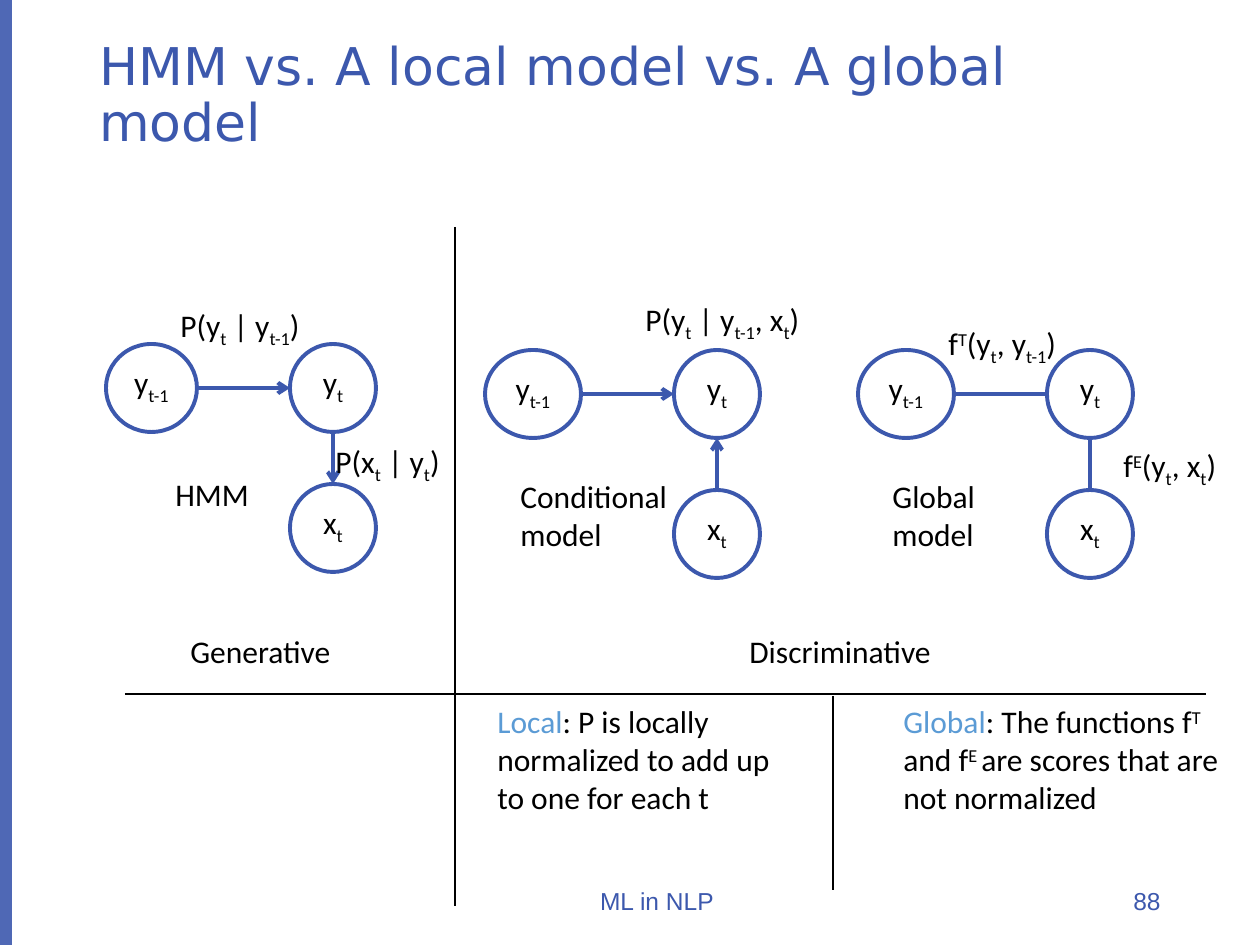
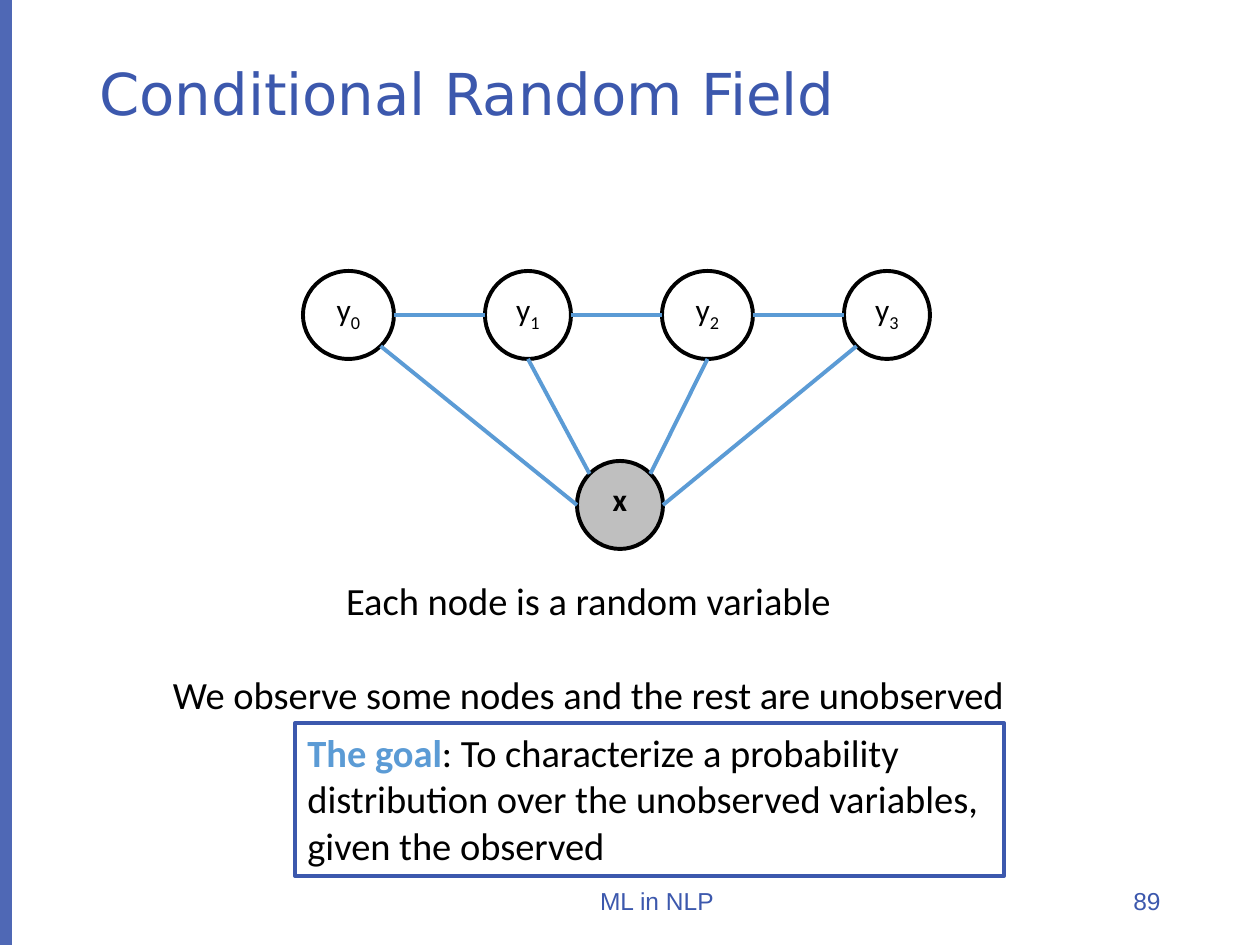
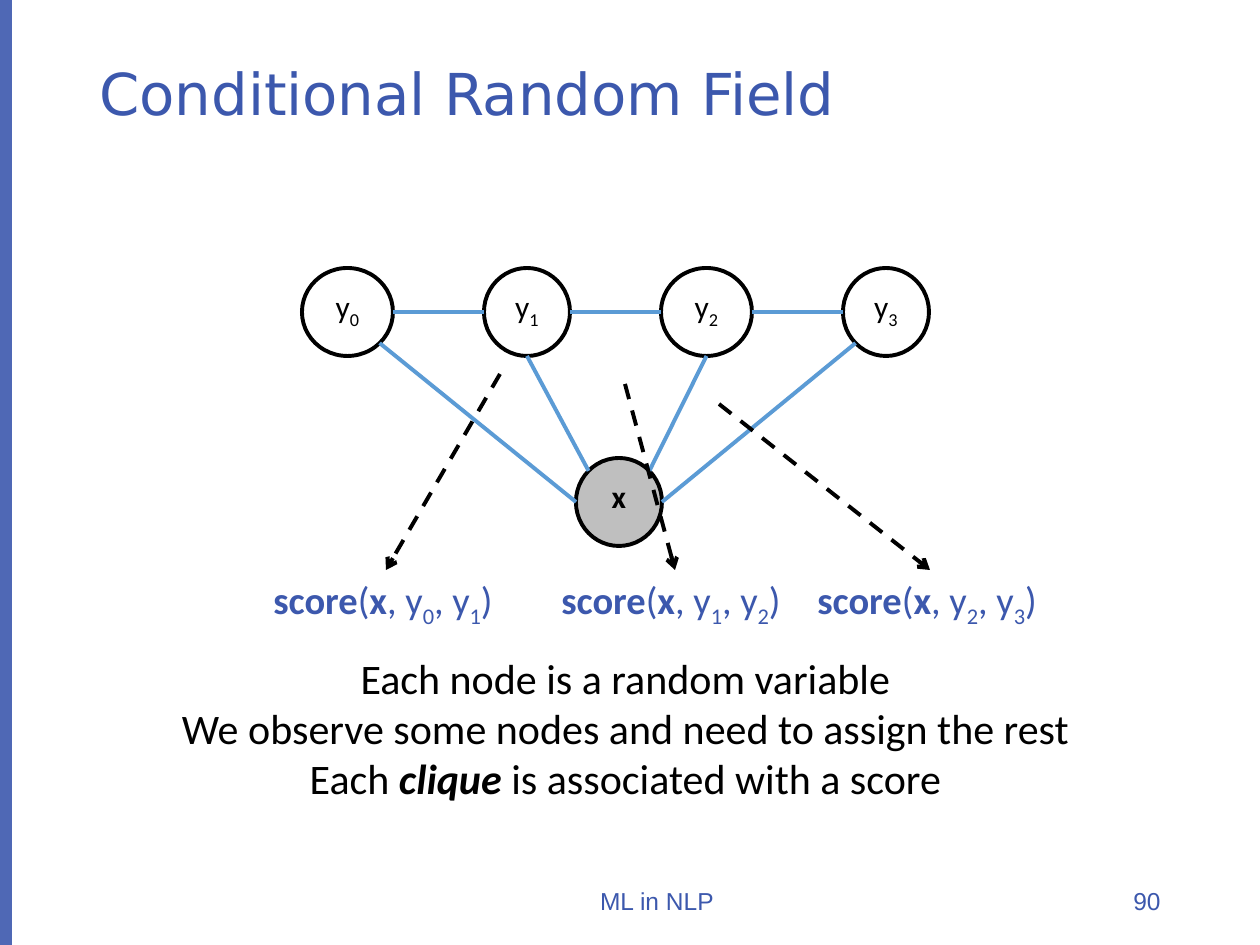
"""Build three slides that compare sequence models and introduce conditional random fields."""
from math import cos, radians, sin

from lxml.etree import SubElement
from pptx import Presentation
from pptx.dml.color import RGBColor
from pptx.enum.dml import MSO_LINE
from pptx.enum.shapes import MSO_CONNECTOR, MSO_SHAPE
from pptx.enum.text import MSO_ANCHOR, PP_ALIGN
from pptx.oxml.ns import qn
from pptx.util import Pt

EMU_PER_PX = 914400 / 126
PAGE_WIDTH, PAGE_HEIGHT = 1260, 945
BLUE, SKY, BLACK, WHITE, GREY = "3C58AD", "5B9BD5", "000000", "FFFFFF", "BFBFBF"
LEFT, CENTER, RIGHT = PP_ALIGN.LEFT, PP_ALIGN.CENTER, PP_ALIGN.RIGHT
EAST, SOUTH_EAST, SOUTH, SOUTH_WEST, WEST, NORTH_WEST, NORTH, NORTH_EAST = range(0, 360, 45)

FOOTER = "ML in NLP"
COMPARISON_TITLE = "HMM vs. A local model vs. A global model"
FIELD_TITLE = "Conditional Random Field"

# Text marks toggle a style: _subscript_ ^superscript^ *bold* ~italic~ #highlight#
MARKS = "_^*~#"
BASELINES = {"_": "-25000", "^": "30000"}

NODE_HEIGHT, NARROW, WIDE = 88, 86, 91
STATE_GAP, OBSERVED_DROP = 93, 140
MODELS = [
    {"left": 106, "top": 344, "width": 91, "arrow": True, "emits": True},
    {"left": 485, "top": 350, "width": 96, "arrow": True, "emits": False},
    {"left": 858, "top": 350, "width": 96, "arrow": False, "emits": False},
]
MODEL_LABELS = [
    (163, 469, 100, 50, ["HMM"]),
    (508, 471, 174, 89, ["Conditional", "model"]),
    (880, 471, 108, 89, ["Global", "model"]),
    (168, 300, 150, 50, ["P(y_t_ | y_t-1_)"]),
    (323, 436, 132, 50, ["P(x_t_ | y_t_)"]),
    (633, 294, 186, 50, ["P(y_t_ | y_t-1_, x_t_)"]),
    (936, 318, 145, 50, ["f^T^(y_t_, y_t-1_)"]),
    (1111, 440, 122, 50, ["f^E^(y_t_, x_t_)"]),
    (178, 626, 168, 50, ["Generative"]),
    (737, 626, 209, 50, ["Discriminative"]),
]
MODEL_NOTES = [
    (485, 696, 301, 127, ["#Local#: P is locally normalized to add up to one for each t"]),
    (891, 696, 340, 127, ["#Global#: The functions f^T^ and f^E ^are scores that are not normalized"]),
]
DIVIDERS = [((455, 227), (455, 906)), ((833, 696), (833, 890)), ((125, 694), (1206, 694))]

FIELD_WIDTHS = [WIDE, NARROW, WIDE, NARROW]
FIELD_GAP = 91
INPUT_OFFSET = (274, 190)
INPUT_EDGES = [(WEST, SOUTH_EAST), (NORTH_WEST, SOUTH), (NORTH_EAST, SOUTH), (EAST, SOUTH_WEST)]
OBSERVED_TEXT = ["Each node is a random variable", "We observe some nodes and the rest are unobserved"]
GOAL = ["#*The goal*#: To characterize a probability distribution over the unobserved variables, "
        "given the observed"]
SCORES = [
    (261, ["*score*(*x*, y_0_, y_1_)"], (500, 374), (386, 570)),
    (549, ["*score*(*x*, y_1_, y_2_)"], (625, 384), (675, 570)),
    (805, ["*score*(*x*, y_2_, y_3_)"], (719, 404), (930, 570)),
]
CLIQUE_TEXT = [
    "Each node is a random variable",
    "We observe some nodes and need to assign the rest",
    "Each *~clique~* is associated with a score",
]


def px(length):
    """Turn pixels into EMU."""
    return round(length * EMU_PER_PX)


def color(hex_string):
    """Turn a hex string into a colour."""
    return RGBColor.from_string(hex_string)


def split_marks(text):
    """Yield each stretch of text with the set of marks active on it."""
    active, stretch = set(), ""
    for letter in text:
        if letter not in MARKS:
            stretch += letter
            continue
        if stretch:
            yield stretch, set(active)
        active ^= {letter}
        stretch = ""
    if stretch:
        yield stretch, active


def write(shape, lines, size, ink=BLACK, font="Calibri", align=LEFT, anchor=MSO_ANCHOR.TOP,
          wrap=True, gap=0, spacing=None):
    """Fill a shape with marked-up lines, one paragraph each."""
    frame = shape.text_frame
    frame.word_wrap = wrap
    frame.vertical_anchor = anchor
    for index, line in enumerate(lines):
        para = frame.add_paragraph() if index else frame.paragraphs[0]
        para.alignment = align
        para.line_spacing = spacing
        if index and gap:
            para.space_before = Pt(gap)
        para.font.name, para.font.size = font, Pt(size)
        para.font.color.rgb = color(ink)
        for stretch, marks in split_marks(line):
            span = para.add_run()
            span.text = stretch
            if "*" in marks:
                span.font.bold = True
            if "~" in marks:
                span.font.italic = True
            if "#" in marks:
                span.font.color.rgb = color(SKY)
            for mark in marks & BASELINES.keys():
                span.font._element.set("baseline", BASELINES[mark])


def add_text(page, left, top, width, height, lines, size=18, **style):
    """Add a text box."""
    box = page.shapes.add_textbox(px(left), px(top), px(width), px(height))
    write(box, lines, size, **style)


def add_shape(shapes, kind, left, top, width, height, fill=None, outline=None):
    """Add a flat preset shape."""
    shape = shapes.add_shape(kind, px(left), px(top), px(width), px(height))
    shape.shadow.inherit = False
    if fill:
        shape.fill.solid()
        shape.fill.fore_color.rgb = color(fill)
    else:
        shape.fill.background()
    if outline:
        shape.line.color.rgb = color(outline)
        shape.line.width = Pt(2.25)
    else:
        shape.line.fill.background()
    return shape


def add_node(shapes, left, top, width, label, outline, fill=WHITE):
    """Add a labelled ellipse and return its bounds."""
    node = add_shape(shapes, MSO_SHAPE.OVAL, left, top, width, NODE_HEIGHT, fill, outline)
    write(node, [label], 18, align=CENTER)
    return left, top, width


def rim(node, angle):
    """Return the point of a node's rim at an angle measured clockwise from east."""
    left, top, width = node
    return (left + width / 2 * (1 + cos(radians(angle))),
            top + NODE_HEIGHT / 2 * (1 + sin(radians(angle))))


def add_line(shapes, start, end, ink, width=2.25, arrow=False, dashed=False):
    """Add a straight line, with an arrowhead at its end on request."""
    line = shapes.add_connector(MSO_CONNECTOR.STRAIGHT, *map(px, start + end))
    line.line.color.rgb = color(ink)
    line.line.width = Pt(width)
    if dashed:
        line.line.dash_style = MSO_LINE.DASH
    properties = line._element.spPr
    if arrow:
        SubElement(properties.find(qn("a:ln")), qn("a:tailEnd"), type="arrow")
    SubElement(properties, qn("a:effectLst"))


def add_page(deck, title, title_size, number):
    """Add a slide with the side band, title and footer."""
    page = deck.slides.add_slide(deck.slide_layouts[6])
    band = add_shape(page.shapes, MSO_SHAPE.RECTANGLE, 0, 0, 12, PAGE_HEIGHT, BLUE)
    band_color = band._element.spPr.find(qn("a:solidFill")).find(qn("a:srgbClr"))
    SubElement(band_color, qn("a:alpha"), val="90000")
    middle = {"ink": BLUE, "anchor": MSO_ANCHOR.MIDDLE}
    add_text(page, 87, 50, 1086, 93, [title], title_size, font="DejaVu Sans", spacing=0.9, **middle)
    add_text(page, 417, 876, 480, 50, [FOOTER], 14, font="Arial", align=CENTER, **middle)
    add_text(page, 989, 876, 184, 50, [str(number)], 14, font="Arial", align=RIGHT, **middle)
    return page


def draw_model(page, left, top, width, arrow, emits):
    """Draw two states and the observation below the second one."""
    shapes = page.shapes.add_group_shape().shapes
    state_left = left + width + STATE_GAP
    previous = add_node(shapes, left, top, width, "y_t-1_", BLUE)
    state = add_node(shapes, state_left, top, NARROW, "y_t_", BLUE)
    observed = add_node(shapes, state_left, top + OBSERVED_DROP, NARROW, "x_t_", BLUE)
    add_line(shapes, rim(previous, EAST), rim(state, WEST), BLUE, arrow=arrow)
    ends = [rim(state, SOUTH), rim(observed, NORTH)]
    add_line(shapes, *(ends if emits else ends[::-1]), BLUE, arrow=arrow)


def draw_field(page, left, top):
    """Draw a chain of states that all connect to one shaded input."""
    shapes = page.shapes.add_group_shape().shapes
    states, state_left = [], left
    for index, width in enumerate(FIELD_WIDTHS):
        states.append(add_node(shapes, state_left, top, width, f"y_{index}_", BLACK))
        state_left += width + FIELD_GAP
    across, down = INPUT_OFFSET
    shared_input = add_node(shapes, left + across, top + down, NARROW, "*x*", BLACK, GREY)
    for state, following in zip(states, states[1:]):
        add_line(shapes, rim(state, EAST), rim(following, WEST), SKY)
    for state, (input_side, state_side) in zip(states, INPUT_EDGES):
        add_line(shapes, rim(shared_input, input_side), rim(state, state_side), SKY)


def build_comparison(deck):
    """Build the slide that compares three models."""
    page = add_page(deck, COMPARISON_TITLE, 29.7, 88)
    for model in MODELS:
        draw_model(page, **model)
    for label in MODEL_LABELS:
        add_text(page, *label, wrap=False)
    for note in MODEL_NOTES:
        add_text(page, *note)
    for start, end in DIVIDERS:
        add_line(page.shapes, start, end, BLACK, 0.75)


def build_goal(deck):
    """Build the slide that states the goal of the field."""
    page = add_page(deck, FIELD_TITLE, 33, 89)
    draw_field(page, 303, 271)
    add_text(page, 155, 571, 867, 199, OBSERVED_TEXT, 22, align=CENTER, wrap=False, gap=27)
    goal = add_shape(page.shapes, MSO_SHAPE.RECTANGLE, 295, 723, 709, 153, outline=BLUE)
    write(goal, GOAL, 22)


def build_scores(deck):
    """Build the slide that scores each clique."""
    page = add_page(deck, FIELD_TITLE, 33, 90)
    draw_field(page, 302, 268)
    for left, score, start, end in SCORES:
        add_text(page, left, 570, 251, 59, score, 22, ink=BLUE, wrap=False)
        add_line(page.shapes, start, end, BLACK, arrow=True, dashed=True)
    add_text(page, 165, 646, 921, 165, CLIQUE_TEXT, 24, align=CENTER, wrap=False)


def main():
    """Build and save the deck."""
    deck = Presentation()
    deck.slide_width, deck.slide_height = px(PAGE_WIDTH), px(PAGE_HEIGHT)
    build_comparison(deck)
    build_goal(deck)
    build_scores(deck)
    deck.save("out.pptx")


if __name__ == "__main__":
    main()
